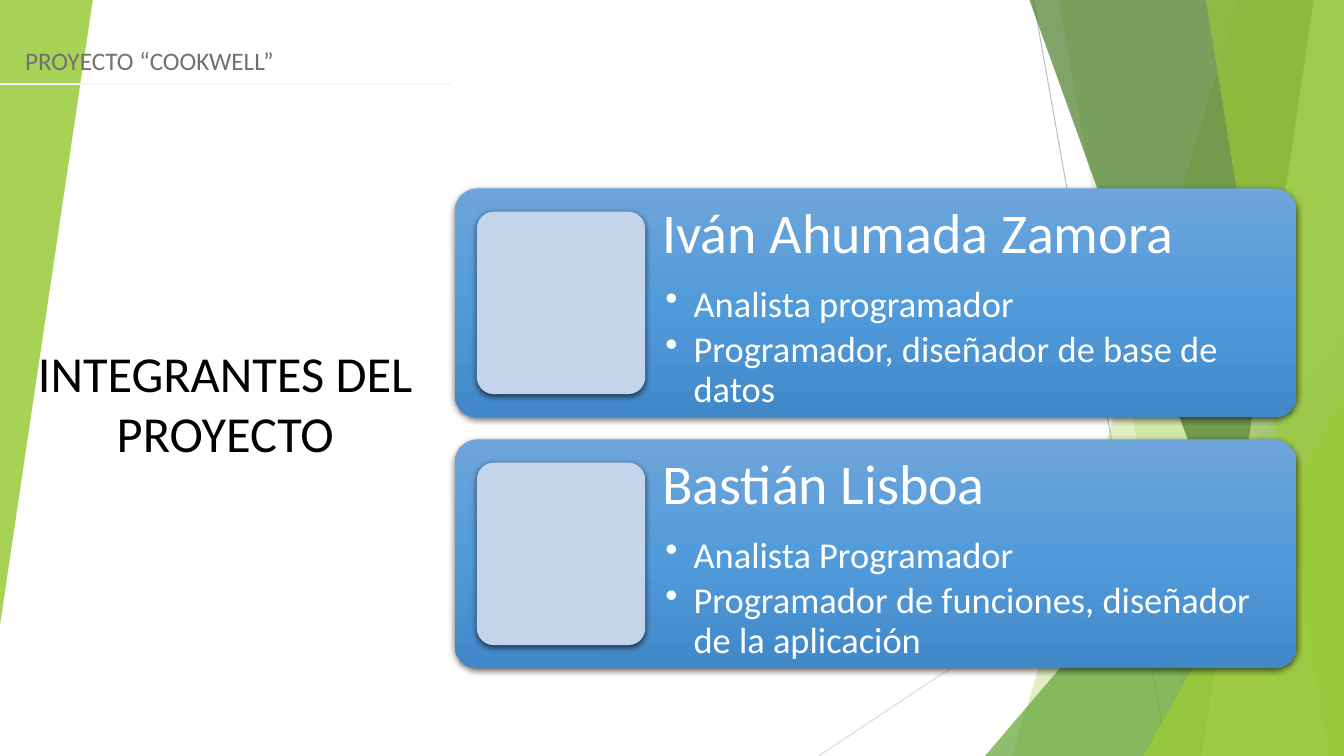
from lxml.etree import SubElement
from pptx import Presentation
from pptx.dml.color import RGBColor
from pptx.enum.shapes import MSO_CONNECTOR, MSO_SHAPE
from pptx.enum.text import PP_ALIGN
from pptx.oxml.ns import qn
from pptx.util import Inches, Pt

PROJECT = "PROYECTO “COOKWELL”"
TITLE = "INTEGRANTES DEL PROYECTO"
MEMBERS = [
    ("Iván Ahumada Zamora",
     ["Analista programador", "Programador, diseñador de base de datos"]),
    ("Bastián Lisboa",
     ["Analista Programador", "Programador de funciones, diseñador de la aplicación"]),
]

FONT = "Calibri"
WHITE = RGBColor(0xFF, 0xFF, 0xFF)
BLACK = RGBColor(0x00, 0x00, 0x00)
GRAY = RGBColor(0x75, 0x70, 0x70)
RAY_DARK = RGBColor(0xBF, 0xBF, 0xBF)
RAY_LIGHT = RGBColor(0xD9, 0xD9, 0xD9)
RULE = RGBColor(0xF5, 0xF7, 0xFC)
LIME = RGBColor(0x99, 0xCB, 0x38)
PALE_LIME = RGBColor(0xC2, 0xE0, 0x88)
GREEN = RGBColor(0x63, 0xA5, 0x37)
DARK_GREEN = RGBColor(0x4A, 0x7C, 0x29)
PORTRAIT = RGBColor(0xC3, 0xD4, 0xEB)
CARD_GRADIENT = [(0, RGBColor(0x6E, 0xA5, 0xDA)), (50, RGBColor(0x52, 0x9B, 0xDA)),
                 (100, RGBColor(0x41, 0x88, 0xC8))]

WIDTH, HEIGHT = 13.33, 7.5
# Bands reach the right edge: top-left x, bottom-left x, colour, opacity %
BANDS_BEHIND = [(12.28, 10.04, LIME, 30), (10.5, 11.83, LIME, 20)]
BANDS_FRONT = [(10.21, 12.91, DARK_GREEN, 70), (13.03, 11.92, PALE_LIME, 70),
               (11.96, 13.18, LIME, 65)]
CARD_LEFT, CARD_TOP, CARD_WIDTH, CARD_HEIGHT, CARD_STEP = 4.51, 1.87, 8.35, 2.27, 2.49
PORTRAIT_WIDTH, PORTRAIT_HEIGHT, PORTRAIT_GAP = 1.67, 1.81, 0.22

prs = Presentation()
prs.slide_width, prs.slide_height = Inches(WIDTH), Inches(HEIGHT)
slide = prs.slides.add_slide(prs.slide_layouts[6])
shapes = slide.shapes


def add_line(start, end, color, weight):
    line = shapes.add_connector(MSO_CONNECTOR.STRAIGHT, *map(Inches, start + end))
    line.line.color.rgb = color
    line.line.width = Pt(weight)
    SubElement(line._element.spPr, qn("a:effectLst"))


def paint(shape, color, opacity=100):
    shape.fill.solid()
    shape.fill.fore_color.rgb = color
    shape.line.fill.background()
    shape.shadow.inherit = False
    if opacity < 100:
        tint = shape._element.spPr.find(".//" + qn("a:srgbClr"))
        SubElement(tint, qn("a:alpha"), val=str(opacity * 1000))


def add_band(top_x, bottom_x, color, opacity):
    corners = [(Inches(x), Inches(y)) for x, y in
               [(top_x, 0), (WIDTH, 0), (WIDTH, HEIGHT), (bottom_x, HEIGHT)]]
    outline = shapes.build_freeform(*corners[0])
    outline.add_line_segments(corners[1:])
    paint(outline.convert_to_shape(), color, opacity)


def add_triangle(box, color, opacity, rotation=0):
    """Right-angled triangle with its apex over the right end of the base."""
    triangle = shapes.add_shape(MSO_SHAPE.ISOSCELES_TRIANGLE, *map(Inches, box))
    triangle.adjustments[0] = 1
    triangle.rotation = rotation
    paint(triangle, color, opacity)


def add_rounded(box, color):
    """Rounded rectangle with a soft shadow below it."""
    panel = shapes.add_shape(MSO_SHAPE.ROUNDED_RECTANGLE, *map(Inches, box))
    panel.adjustments[0] = 0.1
    paint(panel, color)
    effects = panel._element.spPr.find(qn("a:effectLst"))
    shadow = SubElement(effects, qn("a:outerShdw"), blurRad=str(Pt(4.5)),
                        dist=str(Pt(1.5)), dir="5400000", rotWithShape="0")
    shade = SubElement(shadow, qn("a:srgbClr"), val=str(BLACK))
    SubElement(shade, qn("a:alpha"), val="63000")
    return panel


def apply_gradient(panel):
    panel.fill.gradient()
    panel.fill.gradient_angle = 270
    stops = panel._element.spPr.find(".//" + qn("a:gsLst"))
    stops.clear()
    for position, color in CARD_GRADIENT:
        stop = SubElement(stops, qn("a:gs"), pos=str(position * 1000))
        SubElement(stop, qn("a:srgbClr"), val=str(color))


def add_frame(box, inset_x=0.1, inset_y=0.05):
    frame = shapes.add_textbox(*map(Inches, box)).text_frame
    frame.word_wrap = True
    frame.margin_left = frame.margin_right = Inches(inset_x)
    frame.margin_top = frame.margin_bottom = Inches(inset_y)
    return frame


def write(paragraph, text, size, color):
    paragraph.text = text
    font = paragraph.runs[0].font
    font.name, font.size, font.color.rgb = FONT, Pt(size), color


def add_bullet(paragraph):
    props = paragraph._p.get_or_add_pPr()
    props.set("marL", str(Inches(0.31)))
    props.set("indent", str(Inches(-0.28)))
    tint = SubElement(props, qn("a:buClr"))
    SubElement(tint, qn("a:srgbClr"), val=str(WHITE))
    SubElement(props, qn("a:buChar"), char="•")


def add_member(top, name, roles):
    apply_gradient(add_rounded((CARD_LEFT, top, CARD_WIDTH, CARD_HEIGHT), WHITE))
    portrait_left = CARD_LEFT + PORTRAIT_GAP
    text_left = portrait_left + PORTRAIT_WIDTH
    text_width = CARD_LEFT + CARD_WIDTH - text_left
    frame = add_frame((text_left, top, text_width, CARD_HEIGHT), 0.17, 0.17)
    heading = frame.paragraphs[0]
    write(heading, name, 40, WHITE)
    heading.line_spacing = 0.9
    for index, role in enumerate(roles):
        item = frame.add_paragraph()
        write(item, role, 26, WHITE)
        item.level = 1
        item.line_spacing = 0.9
        item.space_before = Pt(4.7 if index else 14)
        add_bullet(item)
    add_rounded((portrait_left, top + (CARD_HEIGHT - PORTRAIT_HEIGHT) / 2,
                 PORTRAIT_WIDTH, PORTRAIT_HEIGHT), PORTRAIT)


add_line((10.25, 0), (11.58, HEIGHT), RAY_DARK, 0.75)
add_line((WIDTH, 4.03), (8.12, HEIGHT), RAY_LIGHT, 0.75)
for band in BANDS_BEHIND:
    add_band(*band)
add_triangle((9.77, 3.33, 3.56, 4.17), GREEN, 72)
for band in BANDS_FRONT:
    add_band(*band)
add_triangle((11.34, 3.93, 1.99, 3.57), LIME, 80)
add_triangle((0, 0, 0.92, 6.2), LIME, 85, rotation=180)

for row, (name, roles) in enumerate(MEMBERS):
    add_member(CARD_TOP + row * CARD_STEP, name, roles)

write(add_frame((0.15, 0.4, 13.18, 0.4)).paragraphs[0], PROJECT, 18, GRAY)
title = add_frame((0.26, 3.34, 3.95, 1.31)).paragraphs[0]
write(title, TITLE, 36, BLACK)
title.alignment = PP_ALIGN.CENTER
add_line((0, 0.83), (4.47, 0.83), RULE, 1.25)

prs.save("out.pptx")
